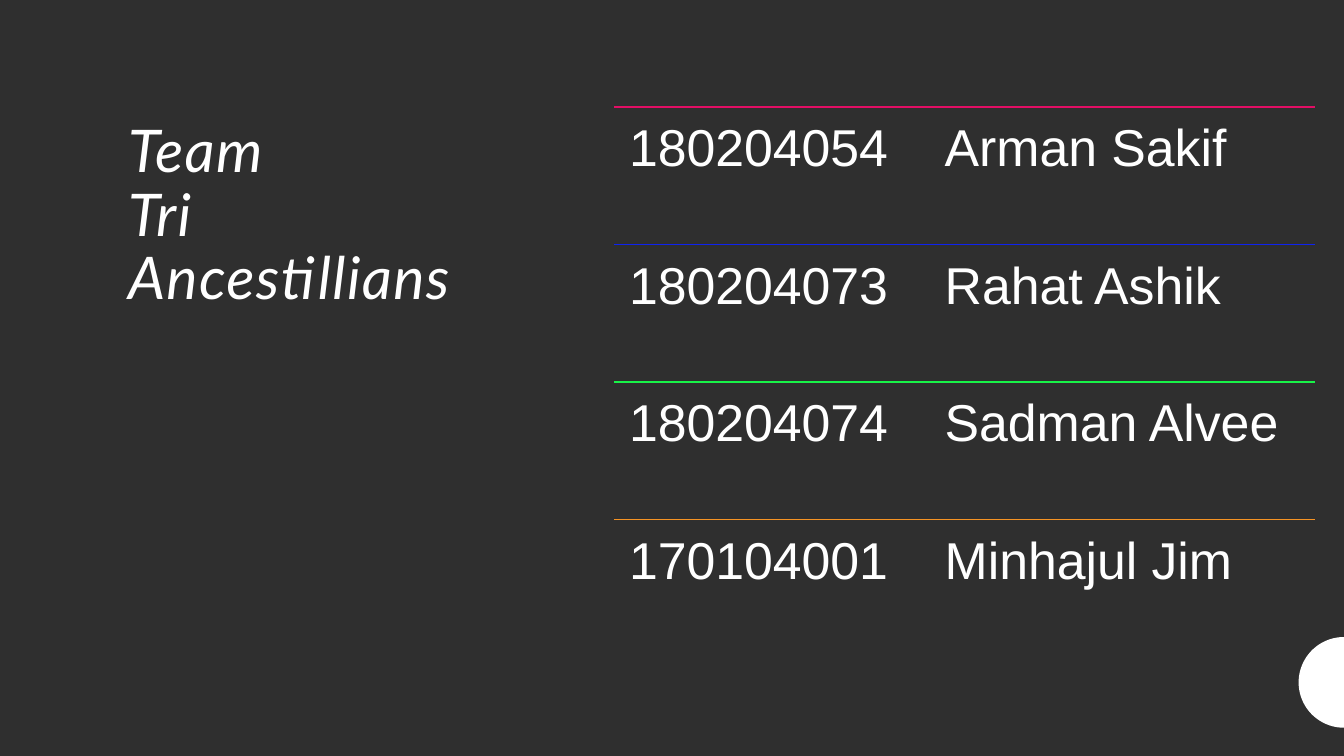
"""Build the team slide: a title, four ruled member rows and a half disc."""
from dataclasses import dataclass
from math import cos, pi, sin

from lxml.etree import SubElement as SubEl
from pptx import Presentation
from pptx.dml.color import RGBColor as Rgb
from pptx.enum.shapes import MSO_CONNECTOR as Conn
from pptx.enum.text import MSO_ANCHOR as Anchor, MSO_AUTO_SIZE as Fit, PP_ALIGN as Align
from pptx.oxml.ns import qn
from pptx.slide import Slide
from pptx.text.text import _Paragraph as Para
from pptx.util import Inches, Pt


@dataclass(frozen=True)
class Theme:
    back: Rgb = Rgb.from_string("2F2F2F")
    ink: Rgb = Rgb.from_string("FFFFFF")
    head: str = "Lato"
    body: str = "Arial"
    head_size: int = 42
    body_size: int = 37


@dataclass(frozen=True)
class Member:
    code: str
    name: str
    color: str


THEME = Theme()
TEAM = (
    Member("180204054", "Arman Sakif", "E20E65"),
    Member("180204073", "Rahat Ashik", "0E23F0"),
    Member("180204074", "Sadman Alvee", "18F348"),
    Member("170104001", "Minhajul Jim", "F59324"),
)
WIDTH, HEIGHT = 13.33, 7.5
LEFT, TOP, SPAN, STEP = 6.09, 1.06, 6.95, 1.364
PAD, TAB = 0.15, 3.13
RADIUS, MID = 0.45, 6.77


def style(para: Para, face: str, size: int) -> None:
    para.alignment = Align.LEFT
    para.line_spacing = 0.9
    para.font.name = face
    para.font.size = Pt(size)
    para.font.color.rgb = THEME.ink


def add_title(slide: Slide) -> None:
    title = slide.shapes.title
    title.left, title.top = Inches(1.17), Inches(1.16)
    title.width, title.height = Inches(3.41), Inches(5.26)
    frame = title.text_frame
    frame.text = "Team\vTri\vAncestillians"
    frame.word_wrap = True
    frame.auto_size = Fit.NONE
    frame.vertical_anchor = Anchor.TOP
    para = frame.paragraphs[0]
    style(para, THEME.head, THEME.head_size)
    para.font.italic = True
    para._p.pPr.find(qn("a:defRPr")).set("spc", "100")


def add_row(slide: Slide, member: Member, top: float) -> None:
    rule = slide.shapes.add_connector(
        Conn.STRAIGHT, Inches(LEFT), Inches(top), Inches(LEFT + SPAN), Inches(top))
    rule.line.color.rgb = Rgb.from_string(member.color)
    rule.line.width = Pt(1)
    SubEl(rule._element.spPr, qn("a:effectLst"))

    box = slide.shapes.add_textbox(Inches(LEFT), Inches(top), Inches(SPAN), Inches(STEP))
    frame = box.text_frame
    frame.word_wrap = True
    frame.margin_left = frame.margin_right = Inches(PAD)
    frame.margin_top = frame.margin_bottom = Inches(PAD)
    para = frame.paragraphs[0]
    para.text = f"{member.code}\t{member.name}"
    para.line_spacing = 0.9
    tabs = SubEl(para._p.get_or_add_pPr(), qn("a:tabLst"))
    SubEl(tabs, qn("a:tab"), pos=str(Inches(TAB)), algn="l")
    style(para, THEME.body, THEME.body_size)


def add_disc(slide: Slide, steps: int = 48) -> None:
    turns = [pi / 2 + pi * i / steps for i in range(steps + 1)]
    points = [(Inches(WIDTH + RADIUS * cos(t)), Inches(MID - RADIUS * sin(t))) for t in turns]
    form = slide.shapes.build_freeform(*points[0])
    form.add_line_segments(points[1:], close=True)
    disc = form.convert_to_shape()
    disc.shadow.inherit = False
    disc.fill.solid()
    disc.fill.fore_color.rgb = THEME.ink
    disc.line.fill.background()


def main() -> None:
    deck = Presentation()
    deck.slide_width, deck.slide_height = Inches(WIDTH), Inches(HEIGHT)
    slide = deck.slides.add_slide(deck.slide_layouts[5])
    slide.background.fill.solid()
    slide.background.fill.fore_color.rgb = THEME.back
    add_disc(slide)
    add_title(slide)
    for i, member in enumerate(TEAM):
        add_row(slide, member, TOP + i * STEP)
    deck.save("out.pptx")


if __name__ == "__main__":
    main()
